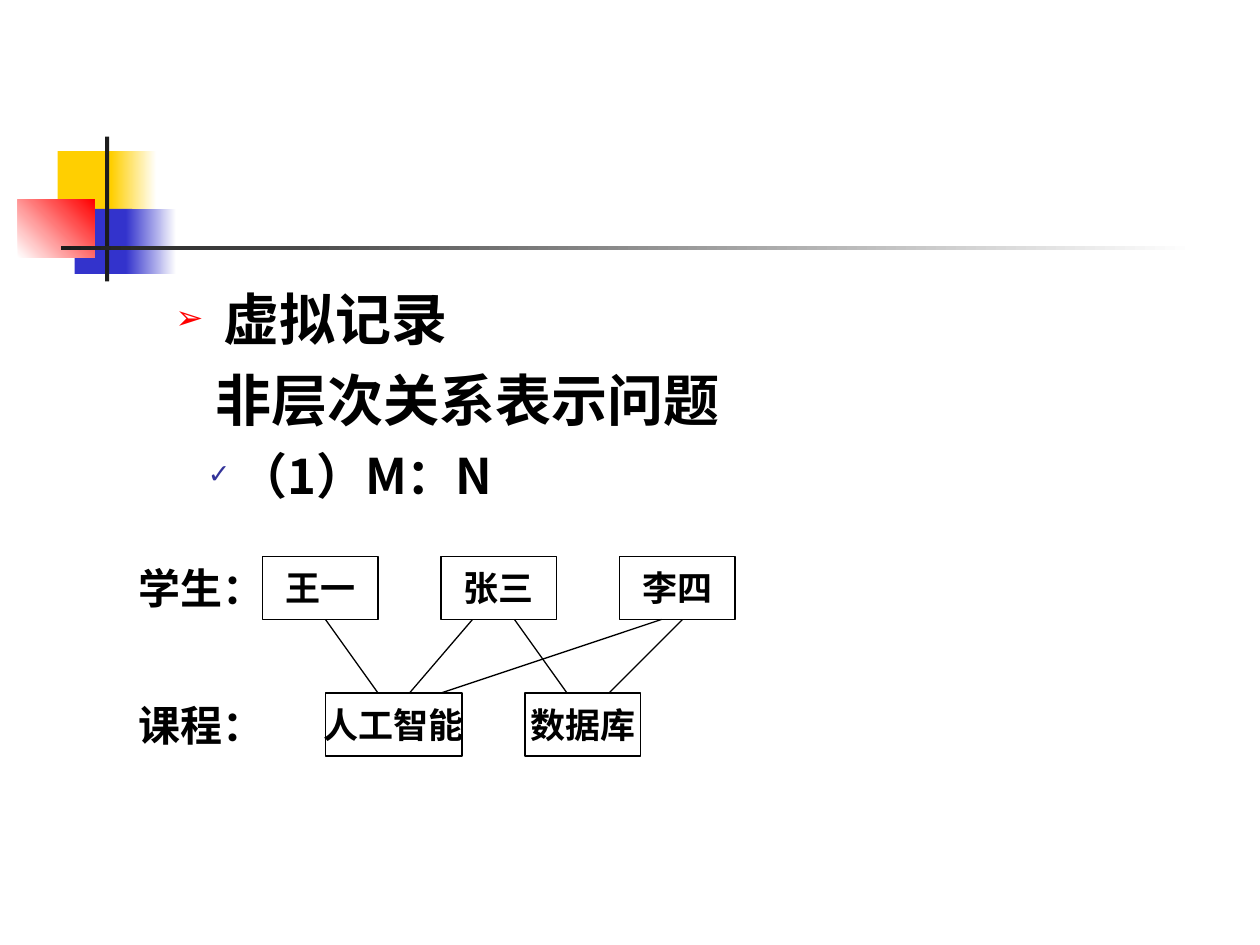
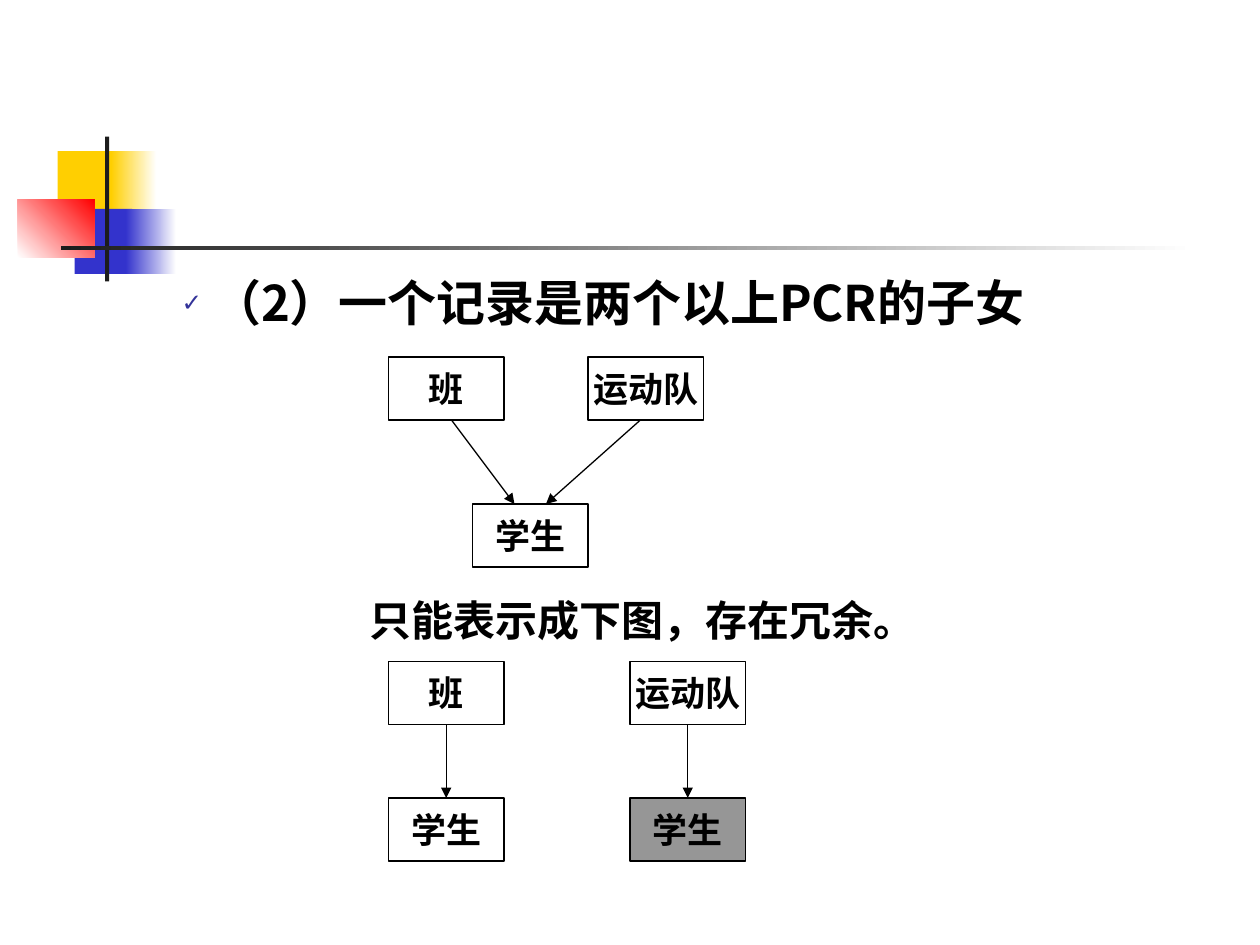
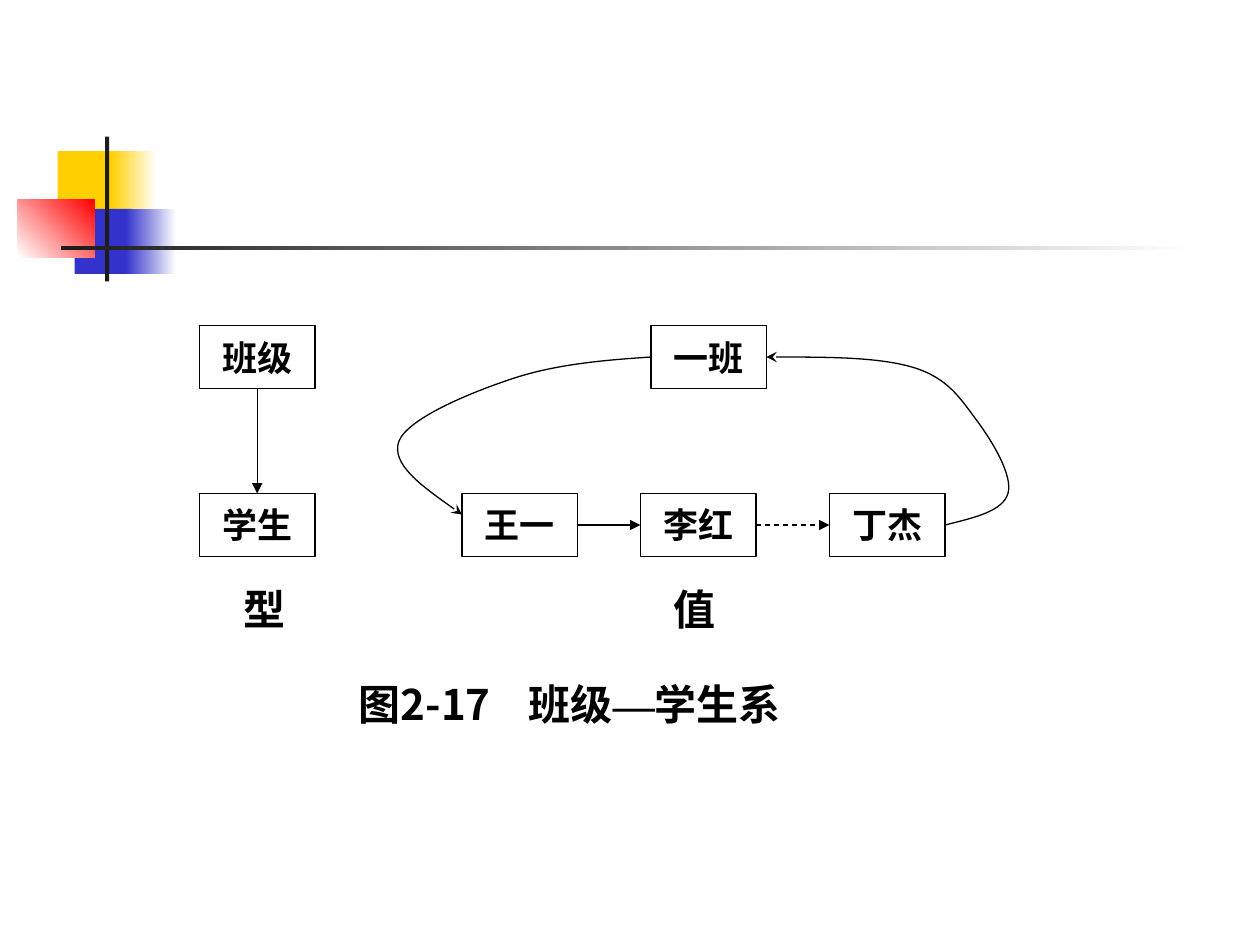
from dataclasses import dataclass

from lxml.etree import SubElement
from pptx import Presentation
from pptx.dml.color import RGBColor
from pptx.enum.dml import MSO_LINE
from pptx.enum.lang import MSO_LANGUAGE_ID
from pptx.enum.shapes import MSO_CONNECTOR, MSO_SHAPE
from pptx.enum.text import MSO_ANCHOR, MSO_AUTO_SIZE, PP_ALIGN
from pptx.oxml.ns import qn
from pptx.util import Pt

SCALE = 7620
BOTTOM, RIGHT, TOP, LEFT = 2, 3, 0, 1
BOX_W, BOX_H = 110, 60


@dataclass(frozen=True)
class Theme:
    """Colours, faces and type sizes of the deck."""
    ink: str = "000000"
    paper: str = "FFFFFF"
    yellow: str = "FFCF01"
    blue: str = "3333CC"
    red: str = "FF0000"
    bar: str = "1C1C1C"
    tick: str = "333399"
    gray: str = "969696"
    sans: str = "Noto Sans CJK SC"
    label: str = "Cabin"
    serif: str = "Times New Roman"
    head: int = 32
    item: int = 28
    caption: int = 24
    node: int = 20
    hair: float = 0.75


def px(n):
    """Turn px into EMU."""
    return round(n * SCALE)


def rgb(color):
    """Turn a hex string into a colour."""
    return RGBColor.from_string(color)


def write(p, text, size, face, color="000000", align=None, before=0, spacing=None,
          level=0, margin=None, indent=0, bullet=None, tab=None):
    """Fill a paragraph with text, or with (text, face) runs, in one format."""
    p.level = level
    pPr = p._p.get_or_add_pPr()
    if margin is not None:
        pPr.set("marL", str(px(margin)))
        pPr.set("indent", str(px(indent)))
    if bullet:
        char, tint, percent = bullet
        SubElement(SubElement(pPr, qn("a:buClr")), qn("a:srgbClr"), val=tint)
        SubElement(pPr, qn("a:buSzPct"), val=str(percent * 1000))
        SubElement(pPr, qn("a:buChar"), char=char)
    else:
        SubElement(pPr, qn("a:buNone"))
    if tab:
        SubElement(SubElement(pPr, qn("a:tabLst")), qn("a:tab"), pos=str(px(tab)), algn="l")
    p.space_before = Pt(before)
    if spacing:
        p.line_spacing = spacing
    if align is not None:
        p.alignment = align
    for part, name in [(text, face)] if isinstance(text, str) else text:
        r = p.add_run()
        r.text = part
        r.font.size, r.font.bold, r.font.name = Pt(size), True, name
        r.font.color.rgb = rgb(color)
        r.font.language_id = MSO_LANGUAGE_ID.SIMPLIFIED_CHINESE
        r.font._element.find(qn("a:latin")).addnext(
            r.font._element.makeelement(qn("a:ea"), {"typeface": name}))


class Deck:
    """Hold the style and the current slide."""

    def __init__(self, theme):
        """Start a presentation with the given theme."""
        self.t = theme
        self.prs = Presentation()
        self.prs.slide_width, self.prs.slide_height = px(1200), px(900)

    def slide(self, face, layout=6):
        """Open a slide whose diagram text uses the given face."""
        self.s = self.prs.slides.add_slide(self.prs.slide_layouts[layout])
        self.face = face
        title = self.s.shapes.title
        if title is not None:
            title.element.getparent().remove(title.element)

    def rect(self, x, y, w, h, fill=None, fade=None, angle=0):
        """Add a rectangle without a line, plain or fading to a second colour."""
        sp = self.s.shapes.add_shape(MSO_SHAPE.RECTANGLE, px(x), px(y), px(w), px(h))
        sp.shadow.inherit = False
        sp.line.fill.background()
        if fade:
            sp.fill.gradient()
            sp.fill.gradient_angle = angle
            for stop, color in zip(sp.fill.gradient_stops, (fill, fade)):
                stop.color.rgb = rgb(color)
        elif fill:
            sp.fill.solid()
            sp.fill.fore_color.rgb = rgb(fill)
        else:
            sp.fill.background()
        return sp

    def master_marks(self):
        """Place the coloured squares and bars on the slide master."""
        t = self.t
        marks = [
            self.rect(55, 144, 58, 62, t.yellow),
            self.rect(106, 144, 43, 62, t.yellow, t.paper),
            self.rect(71, 199, 55, 62, t.blue),
            self.rect(120, 199, 48, 62, t.blue, t.paper),
            self.rect(17, 190, 73, 55, t.paper, t.red, angle=45),
            self.rect(100, 130, 4, 138, t.bar),
            self.rect(58, 234, 1080, 4, t.bar, t.paper),
        ]
        for sp in marks:
            self.prs.slide_master.shapes.element.append(sp.element)

    def body(self, x, y, w, h, items):
        """Move the body placeholder and fill it with (text, format) items."""
        sp = self.s.placeholders[1]
        sp.left, sp.top, sp.width, sp.height = px(x), px(y), px(w), px(h)
        tf = sp.text_frame
        tf.auto_size = MSO_AUTO_SIZE.NONE
        for i, (text, fmt) in enumerate(items):
            p = tf.add_paragraph() if i else tf.paragraphs[0]
            write(p, text, face=self.t.sans, **fmt)

    def box(self, text, x, y, w=BOX_W, fill=None):
        """Add an outlined record box."""
        sp = self.rect(x, y, w, BOX_H, fill)
        self.stroke(sp)
        tf = sp.text_frame
        tf.word_wrap = False
        tf.vertical_anchor = MSO_ANCHOR.MIDDLE
        write(tf.paragraphs[0], text, self.t.node, self.face, align=PP_ALIGN.CENTER)
        return sp

    def label(self, text, x, y, w, **fmt):
        """Add a free caption."""
        tf = self.s.shapes.add_textbox(px(x), px(y), px(w), px(60)).text_frame
        tf.word_wrap = True
        tf.auto_size = MSO_AUTO_SIZE.SHAPE_TO_FIT_TEXT
        write(tf.paragraphs[0], text, self.t.caption, self.face, **fmt)

    def stroke(self, sp, arrow=None, dash=None):
        """Give a shape or connector the thin black line."""
        sp.line.color.rgb = rgb(self.t.ink)
        sp.line.width = Pt(self.t.hair)
        if dash:
            sp.line.dash_style = dash
        if arrow:
            SubElement(sp.element.spPr.find(qn("a:ln")), qn("a:tailEnd"), type=arrow)

    def line(self, x1, y1, x2, y2, arrow=None, dash=None):
        """Add a straight line."""
        c = self.s.shapes.add_connector(MSO_CONNECTOR.STRAIGHT, px(x1), px(y1), px(x2), px(y2))
        self.stroke(c, arrow, dash)
        SubElement(c.element.spPr, qn("a:effectLst"))
        return c

    def link(self, a, side_a, b, side_b, dash=None):
        """Join two boxes with an arrow."""
        c = self.line(0, 0, 1, 1, "triangle", dash)
        c.begin_connect(a, side_a)
        c.end_connect(b, side_b)

    def curve(self, start, *points):
        """Add an arrow of Bezier pieces, three points for each piece."""
        builder = self.s.shapes.build_freeform(*start, scale=SCALE)
        builder.add_line_segments(points, close=False)
        sp = builder.convert_to_shape()
        sp.shadow.inherit = False
        sp.fill.background()
        self.stroke(sp, "stealth")
        segments = list(sp.element.iter(qn("a:lnTo")))
        for i in range(0, len(segments), 3):
            bezier = segments[i].makeelement(qn("a:cubicBezTo"))
            segments[i].addprevious(bezier)
            for segment in segments[i:i + 3]:
                bezier.append(segment[0])
                segment.getparent().remove(segment)


def many_to_many(d):
    """Build the slide on M:N relations."""
    t = d.t
    d.slide(t.label, layout=1)
    d.master_marks()
    d.body(155, 265, 1020, 235, [
        ("虚拟记录", dict(size=t.head, margin=46, indent=-46, bullet=("➢", t.red, 60))),
        ("非层次关系表示问题", dict(size=t.head, margin=38, before=8)),
        ("（1）M：N", dict(size=t.item, level=1, margin=60, indent=-29, before=7,
                         bullet=("✓", t.tick, 55))),
    ])
    students, courses = 530, 660
    for i, name in enumerate(("王一", "张三", "李四")):
        d.box(name, 250 + 170 * i, students)
    d.box("人工智能", 310, courses, w=130)
    d.box("数据库", 500, courses)
    d.label("学生：", 120, students, 130)
    d.label("课程：", 120, courses, 120)
    for x1, x2 in ((310, 360), (450, 390), (630, 420), (490, 540), (650, 580)):
        d.line(x1, students + BOX_H, x2, courses)


def two_parents(d):
    """Build the slide on a record with several parents."""
    t = d.t
    d.slide(t.label, layout=1)
    d.body(70, 260, 1020, 65, [
        ("（2）一个记录是两个以上PCR的子女",
         dict(size=t.item, level=2, margin=120, indent=-29, spacing=0.9,
              bullet=("✓", t.tick, 50))),
    ])
    parents, child = 340, 480
    d.box("学生", 450, child)
    d.box("班", 370, parents)
    d.box("运动队", 560, parents)
    for x1, x2 in ((430, 490), (610, 520)):
        d.line(x1, parents + BOX_H, x2, child, "triangle")
    d.label("只能表示成下图，存在冗余。", 340, 560, 630)
    for parent, x, fill in (("班", 370, None), ("运动队", 600, t.gray)):
        student = d.box("学生", x, 760, fill=fill)
        d.link(d.box(parent, x, 630), BOTTOM, student, TOP)


def class_set(d):
    """Build the slide on the class and student set."""
    t = d.t
    d.slide(t.sans)
    owners, members, names = 310, 470, 550
    d.link(d.box("班级", 190, owners), BOTTOM, d.box("学生", 190, members), TOP)
    d.box("一班", 620, owners)
    first, second, last = (d.box(name, x, members) for name, x in
                           (("王一", 440), ("李红", 610), ("丁杰", 790)))
    d.label("型", 220, names, 90)
    d.label("值", 630, names, 90)
    d.link(first, RIGHT, second, LEFT)
    d.link(second, RIGHT, last, LEFT, MSO_LINE.DASH)
    d.curve((620, 340), (574, 343), (530, 347), (490, 360),
            (450, 373), (389, 398), (380, 420),
            (372, 442), (406, 466), (440, 490))
    d.curve((900, 500), (928, 493), (955, 487), (960, 470),
            (965, 453), (945, 420), (930, 400),
            (915, 380), (903, 360), (870, 350),
            (837, 340), (783, 340), (730, 340))
    d.label([("图2-17\t班级", t.sans), ("—", t.serif), ("学生系", t.sans)],
            330, 640, 530, tab=162)


def main():
    """Build and save the deck."""
    d = Deck(Theme())
    many_to_many(d)
    two_parents(d)
    class_set(d)
    d.prs.save("out.pptx")


if __name__ == "__main__":
    main()
